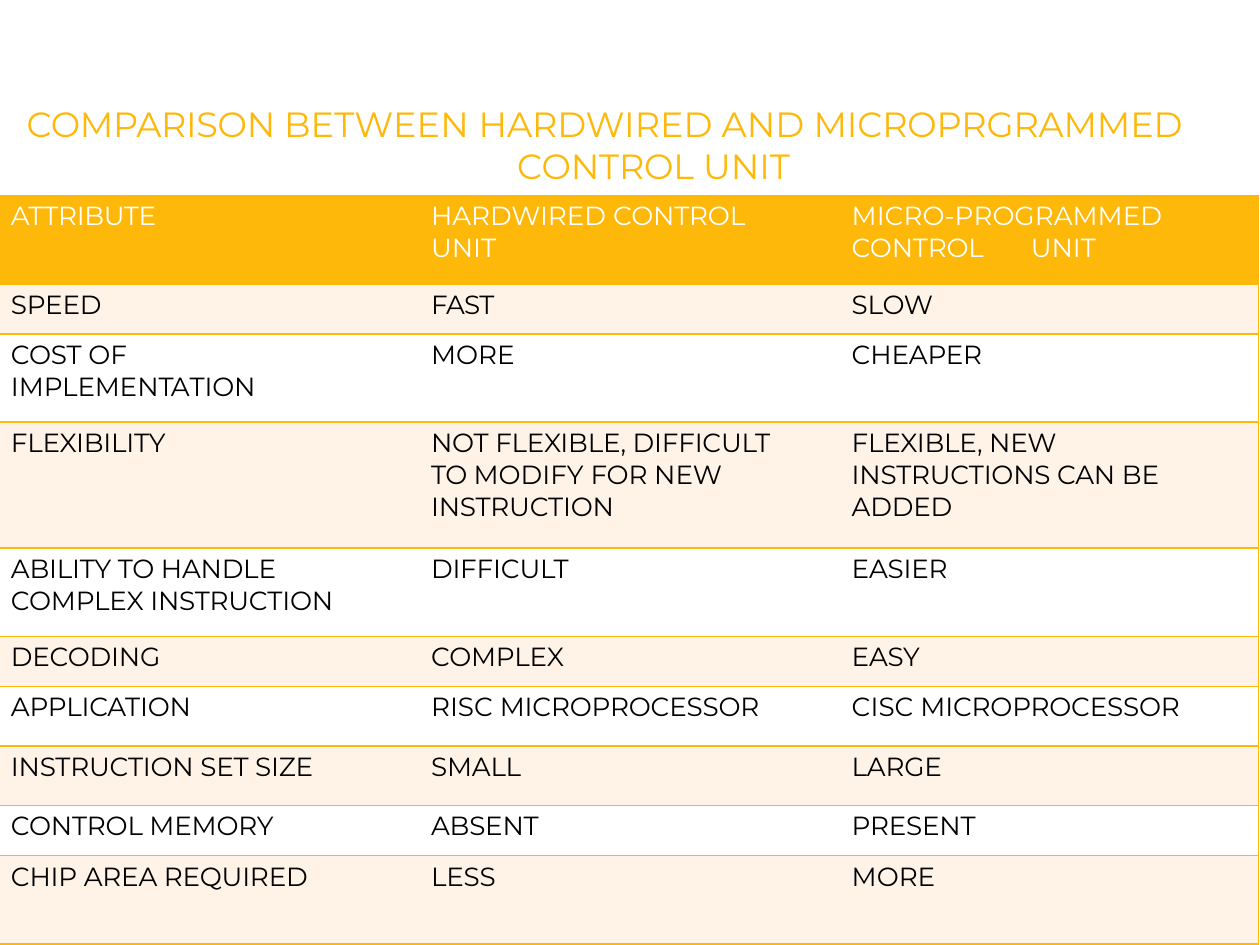
from lxml import etree
from pptx import Presentation
from pptx.dml.color import RGBColor
from pptx.enum.text import MSO_AUTO_SIZE, PP_ALIGN
from pptx.oxml.ns import qn
from pptx.util import Cm, Pt

CENTER = PP_ALIGN.CENTER
LEFT = PP_ALIGN.LEFT
FIT_SHAPE = MSO_AUTO_SIZE.SHAPE_TO_FIT_TEXT

AMBER = RGBColor(0xFD, 0xB8, 0x09)
CREAM = RGBColor(0xFF, 0xF3, 0xE7)
WHITE = RGBColor(0xFF, 0xFF, 0xFF)
BLACK = RGBColor(0x00, 0x00, 0x00)
FONT = "Montserrat"
TIGHT = -0.1

TITLE = [
    [("COMPARISON ", -0.2), ("BETWEEN ", 0.1), ("HARDWIRED AND ", 0), ("MICROPRGRAMMED", TIGHT)],
    [("CONTROL ", TIGHT), ("UNIT", 0)],
]
HEADER = [
    [("ATTRIBUTE", -0.2)],
    [("HARDWIRED ", 0), ("CONTROL ", TIGHT), ("UNIT", 0)],
    [("MIC", 0), ("R", -0.3), ("O", TIGHT), ("-", 0), ("P", TIGHT), ("R", -0.3), ("OG", 0),
     ("R", TIGHT), ("AMM", 0), ("E", TIGHT), ("D ", 0), ("CONTROL\t", TIGHT), ("UNIT", 0)],
]
COMPARISON = [
    ["SPEED", [("FAST", -0.4)], "SLOW"],
    [[("COST ", TIGHT), ("OF ", 0), ("I", TIGHT), ("M", 0), ("PLEME", TIGHT), ("N", 0),
      ("TA", -1.1), ("TION", TIGHT)], [("MORE", 0)], "CHEAPER"],
    ["FLEXIBILITY",
     [("NOT FLEXIBLE, DIFFICULT ", TIGHT), ("TO ", -0.3), ("MODIFY ", 0), ("FOR ", TIGHT),
      ("NEW ", 0), ("INSTRUCTION", TIGHT)],
     [("FLEXIBLE, NEW INSTRUCTIONS CAN ", TIGHT), ("BE ", 0), ("ADDED", TIGHT)]],
    [[("ABILITY ", TIGHT), ("TO ", -0.2), ("HANDLE COMPLEX INSTRUCTION", TIGHT)],
     "DIFFICULT", "EASIER"],
    ["DECODING", "COMPLEX", "EASY"],
    ["APPLICATION", [("RISC ", 0), ("MICROPROCESSOR", TIGHT)],
     [("CISC ", 0), ("MICROPROCESSOR", TIGHT)]],
    ["INSTRUCTION SET SIZE", "SMALL", "LARGE"],
    ["CONTROL MEMORY", "ABSENT", "PRESENT"],
    ["CHIP AREA REQUIRED", "LESS", [("MORE", 0)]],
]
COLUMN_WIDTHS = [8.08, 8.74, 8.58]
COLUMN_INDENTS = [0.25, 0.64, 0.38]
ROW_HEIGHTS = [1.79, 1, 1.78, 2.54, 1.78, 1.01, 1.2, 1.2, 1.01, 1.78]
UNIT_TAB = 3.61


def write_runs(paragraph, pieces, size, color, indent=0):
    paragraph._p.get_or_add_pPr().set("marL", str(Cm(indent)))
    for text, spacing in pieces:
        run = paragraph.add_run()
        run.text = text
        run.font.name = FONT
        run.font.size = Pt(size)
        run.font.color.rgb = color
        run._r.get_or_add_rPr().set("spc", str(round(spacing * 100)))


def add_tab_stop(paragraph, position):
    tab_list = etree.SubElement(paragraph._p.get_or_add_pPr(), qn("a:tabLst"))
    etree.SubElement(tab_list, qn("a:tab"), pos=str(Cm(position)), algn="l")


def set_borders(cell, visible_sides):
    properties = cell._tc.get_or_add_tcPr()
    for index, side in enumerate("LRTB"):
        line = etree.Element(qn(f"a:ln{side}"), w=str(Pt(1)))
        if side in visible_sides:
            fill = etree.SubElement(line, qn("a:solidFill"))
            etree.SubElement(fill, qn("a:srgbClr"), val=str(AMBER))
        else:
            etree.SubElement(line, qn("a:noFill"))
        properties.insert(index, line)


def fill_cell(cell, content, column, background, text_color, visible_sides):
    cell.margin_left = cell.margin_bottom = 0
    cell.margin_right = Cm(0.76)
    cell.margin_top = Cm(0.1)
    cell.fill.solid()
    cell.fill.fore_color.rgb = background
    set_borders(cell, visible_sides)
    pieces = [(content, TIGHT)] if isinstance(content, str) else content
    paragraph = cell.text_frame.paragraphs[0]
    paragraph.alignment = LEFT
    if any("\t" in text for text, _ in pieces):
        add_tab_stop(paragraph, UNIT_TAB)
    write_runs(paragraph, pieces, 15, text_color, COLUMN_INDENTS[column])


def add_title(slide):
    title = slide.shapes.add_textbox(Cm(-0.03), Cm(2.03), Cm(24.43), Cm(1.78))
    frame = title.text_frame
    frame.word_wrap = True
    frame.auto_size = FIT_SHAPE
    frame.margin_left = frame.margin_right = frame.margin_bottom = 0
    frame.margin_top = Cm(0.03)
    first_line, second_line = frame.paragraphs[0], frame.add_paragraph()
    for paragraph, pieces, indent in zip((first_line, second_line), TITLE, (0, 1.98)):
        paragraph.alignment = CENTER
        write_runs(paragraph, pieces, 20, AMBER, indent)


def add_comparison_table(slide):
    rows = [HEADER] + COMPARISON
    table = slide.shapes.add_table(
        len(rows), len(COLUMN_WIDTHS), Cm(-0.03), Cm(3.94),
        Cm(sum(COLUMN_WIDTHS)), Cm(sum(ROW_HEIGHTS))).table
    table.first_row = False
    table.horz_banding = False
    for column, width in zip(table.columns, COLUMN_WIDTHS):
        column.width = Cm(width)
    for row, height in zip(table.rows, ROW_HEIGHTS):
        row.height = Cm(height)
    for row_index, contents in enumerate(rows):
        is_header = row_index == 0
        background = AMBER if is_header else CREAM if row_index % 2 else WHITE
        text_color = WHITE if is_header else BLACK
        for column, content in enumerate(contents):
            sides = "" if is_header else "TB" + ("L", "", "R")[column]
            fill_cell(table.cell(row_index, column), content, column,
                      background, text_color, sides)


def main():
    presentation = Presentation()
    presentation.slide_width = Cm(25.4)
    presentation.slide_height = Cm(19.05)
    slide = presentation.slides.add_slide(presentation.slide_layouts[6])
    add_title(slide)
    add_comparison_table(slide)
    presentation.save("out.pptx")


if __name__ == "__main__":
    main()
